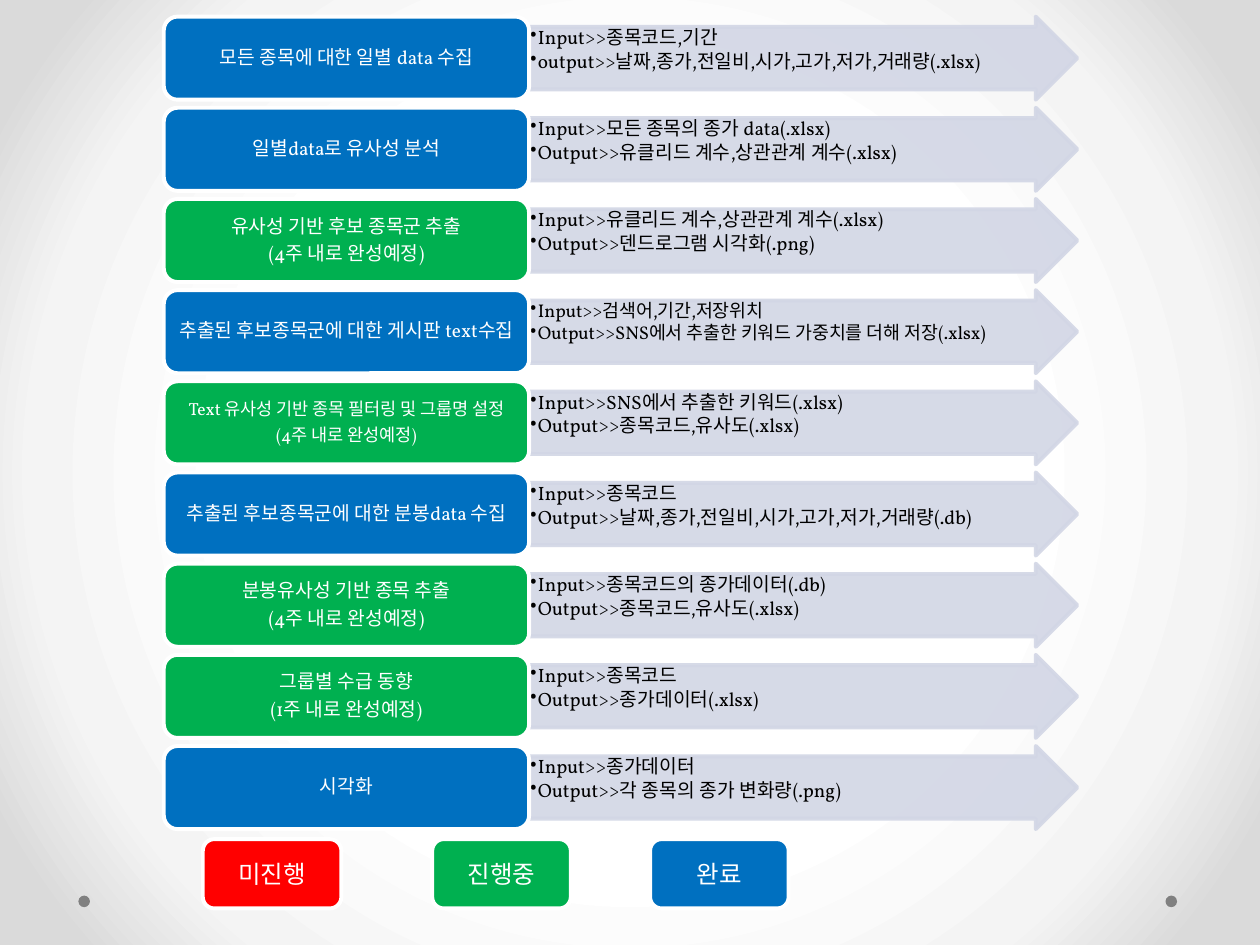
"""Builds a slide of nine process steps with their inputs, outputs and status."""
from lxml.etree import SubElement
from pptx import Presentation
from pptx.dml.color import RGBColor
from pptx.enum.shapes import MSO_SHAPE as SHAPE
from pptx.enum.text import MSO_ANCHOR as ANCHOR, PP_ALIGN as ALIGN
from pptx.oxml import parse_xml
from pptx.oxml.ns import nsdecls, qn
from pptx.util import Pt

RED, GREEN, BLUE = "FF0000", "00B050", "0070C0"
WHITE, BLACK, GREY, LAVENDER = "FFFFFF", "000000", "808080", "D2D6E5"
STOPS = [(50, WHITE), (76, "F4F4F4"), (92, "DADADA")]
TOP, PITCH, HEIGHT = 9.5, 52.1, 47.5
LEFT, BOX_W, ARROW_W = 93.6, 208.8, 313.2
IN_FOUR_WEEKS = "(4주 내로 완성예정)"
STEPS = [
    (BLUE, 11, ["모든 종목에 대한 일별 data 수집"],
     11, ["Input>>종목코드,기간", "output>>날짜,종가,전일비,시가,고가,저가,거래량(.xlsx)"]),
    (BLUE, 11, ["일별data로 유사성 분석"],
     11, ["Input>>모든 종목의 종가 data(.xlsx)", "Output>>유클리드 계수,상관관계 계수(.xlsx)"]),
    (GREEN, 11, ["유사성 기반 후보 종목군 추출", IN_FOUR_WEEKS],
     11, ["Input>>유클리드 계수,상관관계 계수(.xlsx)", "Output>>덴드로그램 시각화(.png)"]),
    (BLUE, 11, ["추출된 후보종목군에 대한 게시판 text수집"],
     10.5, ["Input>>검색어,기간,저장위치", "Output>>SNS에서 추출한 키워드 가중치를 더해 저장(.xlsx)"]),
    (GREEN, 10, ["Text 유사성 기반 종목 필터링 및 그룹명 설정", IN_FOUR_WEEKS],
     11, ["Input>>SNS에서 추출한 키워드(.xlsx)", "Output>>종목코드,유사도(.xlsx)"]),
    (BLUE, 11, ["추출된 후보종목군에 대한 분봉data 수집"],
     11, ["Input>>종목코드", "Output>>날짜,종가,전일비,시가,고가,저가,거래량(.db)"]),
    (GREEN, 11, ["분봉유사성 기반 종목 추출", IN_FOUR_WEEKS],
     11, ["Input>>종목코드의 종가데이터(.db)", "Output>>종목코드,유사도(.xlsx)"]),
    (GREEN, 11, ["그룹별 수급 동향", "(1주 내로 완성예정)"],
     11, ["Input>>종목코드", "Output>>종가데이터(.xlsx)"]),
    (BLUE, 11, ["시각화"],
     11, ["Input>>종가데이터", "Output>>각 종목의 종가 변화량(.png)"]),
]
LEGEND = [(115.9, RED, "미진행"), (247, GREEN, "진행중"), (371.5, BLUE, "완료")]


def rgb(value):
    return RGBColor.from_string(value)


def set_attrs(obj, values):
    for name, value in values.items():
        setattr(obj, name, value)


def set_background(s):
    stops = "".join(f'<a:gs pos="{pos * 1000}"><a:srgbClr val="{color}"/></a:gs>'
                    for pos, color in STOPS)
    s._element.cSld.insert(0, parse_xml(
        f'<p:bg {nsdecls("p", "a")}><p:bgPr><a:gradFill rotWithShape="1">'
        f'<a:gsLst>{stops}</a:gsLst><a:path path="circle">'
        '<a:fillToRect l="50000" t="50000" r="50000" b="50000"/></a:path>'
        '</a:gradFill><a:effectLst/></p:bgPr></p:bg>'))


def add_shape(s, kind, box, fill, line=None):
    sp = s.shapes.add_shape(kind, *map(Pt, box))
    sp.shadow.inherit = False
    sp.fill.solid()
    sp.fill.fore_color.rgb = rgb(fill)
    if line:
        sp.line.color.rgb = rgb(line)
        sp.line.width = Pt(2.25)
    else:
        sp.line.fill.background()
    return sp


def set_insets(sp, left, top, right, bottom):
    set_attrs(sp.text_frame, {"margin_left": Pt(left), "margin_top": Pt(top),
                              "margin_right": Pt(right), "margin_bottom": Pt(bottom)})


def write(sp, lines, size, color, anchor, para):
    tf = sp.text_frame
    set_attrs(tf, {"word_wrap": True, "vertical_anchor": anchor})
    for i, line in enumerate(lines):
        p = tf.paragraphs[0] if i == 0 else tf.add_paragraph()
        set_attrs(p, para)
        r = p.add_run()
        r.text = line
        set_attrs(r.font, {"size": Pt(size), "name": "Vollkorn"})
        r.font.color.rgb = rgb(color)


def add_bullets(sp):
    for p in sp.text_frame.paragraphs:
        pPr = p._p.get_or_add_pPr()
        pPr.set("marL", str(Pt(4.5)))
        pPr.set("indent", str(-Pt(4.5)))
        SubElement(pPr, qn("a:buChar")).set("char", "•")


def add_arrow(s, top, size, lines):
    sp = add_shape(s, SHAPE.RIGHT_ARROW, (LEFT + BOX_W, top, ARROW_W, HEIGHT),
                   LAVENDER, LAVENDER)
    sp.adjustments[0], sp.adjustments[1] = 0.75, 0.5
    for color in sp._element.spPr.iter(qn("a:srgbClr")):
        SubElement(color, qn("a:alpha")).set("val", "90000")
    set_insets(sp, 0.5, 0.5, 12.5, 0.5)
    write(sp, lines, size, BLACK, ANCHOR.TOP,
          {"level": 1, "alignment": ALIGN.LEFT, "line_spacing": 0.9,
           "space_after": Pt(size * 0.15)})
    add_bullets(sp)


def add_step(s, top, fill, size, lines):
    sp = add_shape(s, SHAPE.ROUNDED_RECTANGLE, (LEFT, top, BOX_W, HEIGHT), fill, WHITE)
    side = 0.3 * size
    set_insets(sp, side, side / 2, side, side / 2)
    write(sp, lines, size, WHITE, ANCHOR.MIDDLE,
          {"alignment": ALIGN.CENTER, "line_spacing": 0.9,
           "space_after": Pt(size * 0.35)})


def add_key(s, left, fill, label):
    sp = add_shape(s, SHAPE.ROUNDED_RECTANGLE, (left, 479.5, 79.2, 39.6), fill, WHITE)
    write(sp, [label], 14, WHITE, ANCHOR.MIDDLE, {"alignment": ALIGN.CENTER})


def main():
    prs = Presentation()
    set_attrs(prs, {"slide_width": Pt(720), "slide_height": Pt(540)})
    s = prs.slides.add_slide(prs.slide_layouts[6])
    set_background(s)
    for left in (666, 44.8):
        add_shape(s, SHAPE.OVAL, (left, 511.8, 6.6, 6.6), GREY)
    for i, (fill, size, title, detail_size, details) in enumerate(STEPS):
        top = TOP + i * PITCH
        add_arrow(s, top, detail_size, details)
        add_step(s, top, fill, size, title)
    for key in LEGEND:
        add_key(s, *key)
    prs.save("out.pptx")


main()
